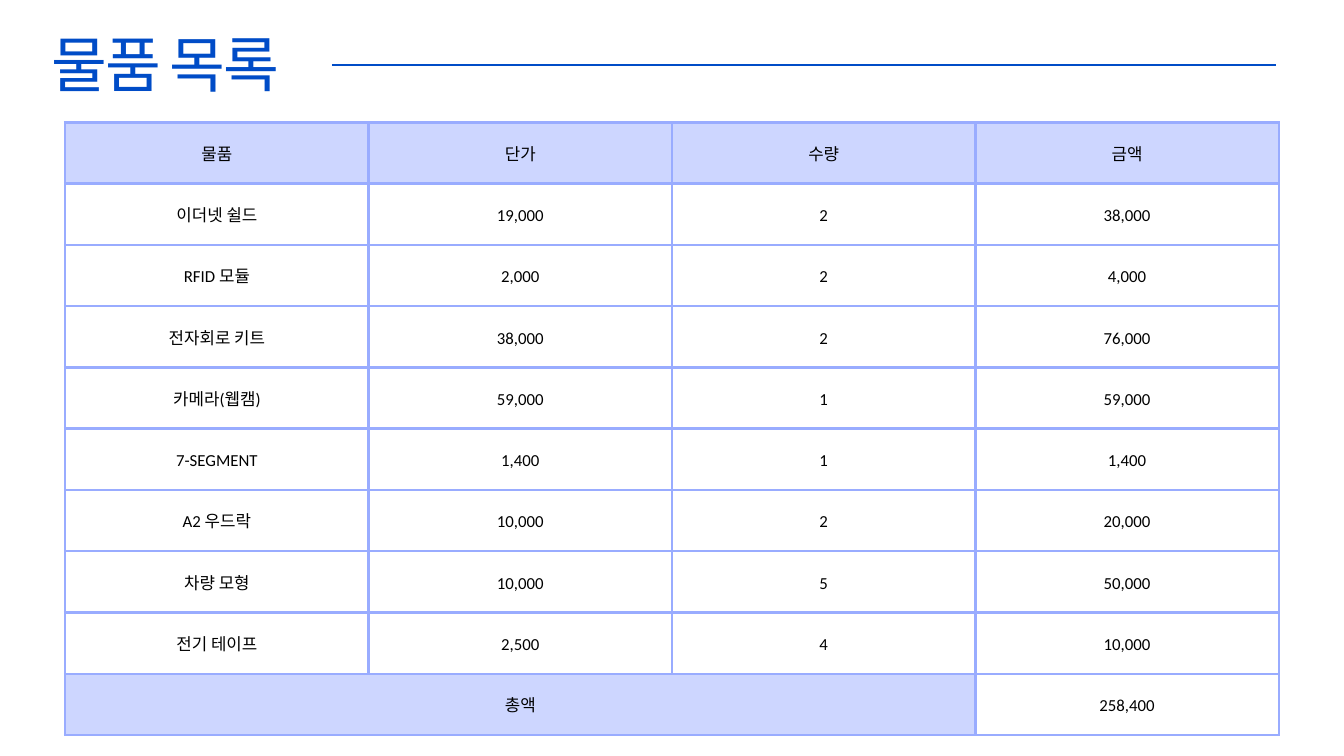
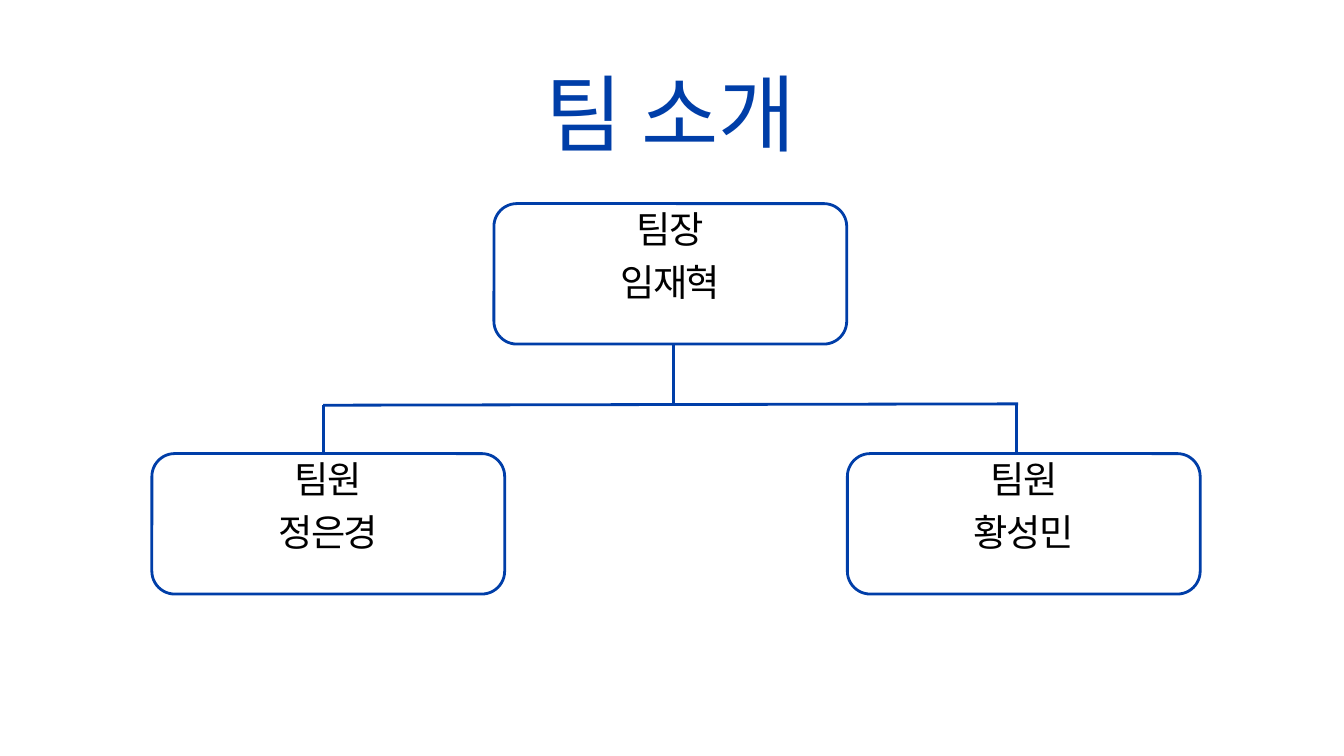
from dataclasses import dataclass

from pptx import Presentation, util as u
from pptx.dml.color import RGBColor
from pptx.enum import shapes, text
from pptx.oxml.ns import qn
from lxml import etree

EMU_PER_PX = 9144


@dataclass(frozen=True)
class TextStyle:
    size: int
    leading: float
    color: str
    font: str = "Calibri"
    tracking: float = 0
    centred: bool = True


@dataclass(frozen=True)
class Theme:
    blue: str = "004CC7"
    navy: str = "003EA8"
    grid: str = "99ACFF"
    band: str = "CDD6FF"
    white: str = "FFFFFF"
    black: str = "000000"
    rule_width: float = 2.25
    line_width: float = 3
    list_title = TextStyle(65, 74.8, blue, tracking=-2.6, centred=False)
    team_title = TextStyle(90, 108, navy, font="Noto Sans CJK KR")
    cell = TextStyle(18, 25.2, black)
    card = TextStyle(40, 56, black, tracking=-1.6)


THEME = Theme()

ITEM_HEADER = ["물품", "단가", "수량", "금액"]
ITEMS = [
    ("이더넷 쉴드", 19000, 2),
    ("RFID 모듈", 2000, 2),
    ("전자회로 키트", 38000, 2),
    ("카메라(웹캠)", 59000, 1),
    ("7-SEGMENT", 1400, 1),
    ("A2 우드락", 10000, 2),
    ("차량 모형", 10000, 5),
    ("전기 테이프", 2500, 4),
]
TOTAL_LABEL, TOTAL = "총액", "258,400"

CARD_WIDTH, CARD_HEIGHT, CARD_RADIUS = 525, 209, 34
CARD_TEXT_RISE = 67
LEADER = ("팀장", "임재혁", 735, 303)
MEMBERS = [("팀원", "정은경", 226, 675), ("팀원", "황성민", 1261, 675)]


def px(value):
    return u.Emu(value * EMU_PER_PX)


def box(*lengths):
    return [px(length) for length in lengths]


def rgb(color):
    return RGBColor.from_string(color)


def style_paragraph(paragraph, style):
    if style.centred:
        paragraph.alignment = text.PP_ALIGN.CENTER
    paragraph.line_spacing = u.Pt(style.leading)
    font = paragraph.font
    font.size = u.Pt(style.size)
    font.name = style.font
    font.color.rgb = rgb(style.color)
    properties = font._element
    etree.SubElement(properties, qn("a:ea"), typeface=style.font)
    if style.tracking:
        properties.set("spc", str(round(style.tracking * 100)))


def set_margins(target, margin):
    target.margin_left = target.margin_right = px(margin)
    target.margin_top = target.margin_bottom = px(margin)


def fill_frame(frame, lines, style):
    frame.text = "\n".join(lines)
    for paragraph in frame.paragraphs:
        style_paragraph(paragraph, style)


def add_text(container, lines, style, area, margin=0):
    frame = container.add_textbox(*box(*area)).text_frame
    frame.word_wrap = True
    set_margins(frame, margin)
    fill_frame(frame, lines, style)
    return frame


def add_title(slide, title, style, area):
    frame = add_text(slide.shapes, [title], style, area)
    frame.auto_size = text.MSO_AUTO_SIZE.SHAPE_TO_FIT_TEXT


def add_line(slide, start, end, color, width):
    line = slide.shapes.add_connector(
        shapes.MSO_CONNECTOR.STRAIGHT, *box(*start, *end))
    line.line.color.rgb = rgb(color)
    line.line.width = u.Pt(width)
    etree.SubElement(line._element.spPr, qn("a:effectLst"))


def add_borders(cell):
    properties = cell._tc.get_or_add_tcPr()
    for side in ("lnL", "lnR", "lnT", "lnB"):
        border = etree.SubElement(
            properties, qn(f"a:{side}"), w=str(u.Pt(THEME.line_width)))
        solid = etree.SubElement(border, qn("a:solidFill"))
        etree.SubElement(solid, qn("a:srgbClr"), val=THEME.grid)


def style_cell(cell, content, banded):
    fill_frame(cell.text_frame, [content], THEME.cell)
    cell.vertical_anchor = text.MSO_ANCHOR.MIDDLE
    set_margins(cell, 21)
    add_borders(cell)
    if banded:
        cell.fill.solid()
        cell.fill.fore_color.rgb = rgb(THEME.band)
    else:
        cell.fill.background()


def add_item_table(slide, left, top, width, height):
    rows = [ITEM_HEADER]
    rows += [[name, f"{price:,}", str(count), f"{price * count:,}"]
             for name, price, count in ITEMS]
    rows.append([TOTAL_LABEL, "", "", TOTAL])
    last = len(rows) - 1
    table = slide.shapes.add_table(
        len(rows), len(ITEM_HEADER), *box(left, top, width, height)).table
    table.first_row = table.horz_banding = False
    for row, values in enumerate(rows):
        for column, value in enumerate(values):
            banded = row == 0 or (row == last and column < 3)
            style_cell(table.cell(row, column), value, banded)
    table.cell(last, 0).merge(table.cell(last, 2))


def add_card(slide, role, name, left, top):
    group = slide.shapes.add_group_shape().shapes
    card = group.add_shape(
        shapes.MSO_SHAPE.ROUNDED_RECTANGLE,
        *box(left, top, CARD_WIDTH, CARD_HEIGHT))
    card.adjustments[0] = CARD_RADIUS / CARD_HEIGHT
    card.shadow.inherit = False
    card.fill.solid()
    card.fill.fore_color.rgb = rgb(THEME.white)
    card.line.color.rgb = rgb(THEME.navy)
    card.line.width = u.Pt(THEME.line_width)
    area = (left, top - CARD_TEXT_RISE, CARD_WIDTH, CARD_HEIGHT + CARD_TEXT_RISE)
    frame = add_text(group, [role, name], THEME.card, area, margin=6)
    frame.vertical_anchor = text.MSO_ANCHOR.MIDDLE


def add_branches(slide):
    branches = [
        ((481, 603), (1515, 601)),
        ((1002, 512), (1002, 602)),
        ((481, 602), (481, 681)),
        ((1513, 602), (1513, 681)),
    ]
    for start, end in branches:
        add_line(slide, start, end, THEME.navy, THEME.line_width)


def build_item_slide(slide):
    add_title(slide, "물품 목록", THEME.list_title, (77, 45, 1081, 121))
    add_line(slide, (494, 97), (1899, 97), THEME.blue, THEME.rule_width)
    add_item_table(slide, 97, 182, 1806, 912)


def build_team_slide(slide):
    add_card(slide, *LEADER)
    add_title(slide, "팀 소개", THEME.team_title, (265, 92, 1465, 151))
    add_branches(slide)
    for member in MEMBERS:
        add_card(slide, *member)


def main():
    presentation = Presentation()
    presentation.slide_width, presentation.slide_height = box(2000, 1125)
    blank = presentation.slide_layouts[6]
    for build in (build_item_slide, build_team_slide):
        build(presentation.slides.add_slide(blank))
    presentation.save("out.pptx")


if __name__ == "__main__":
    main()
